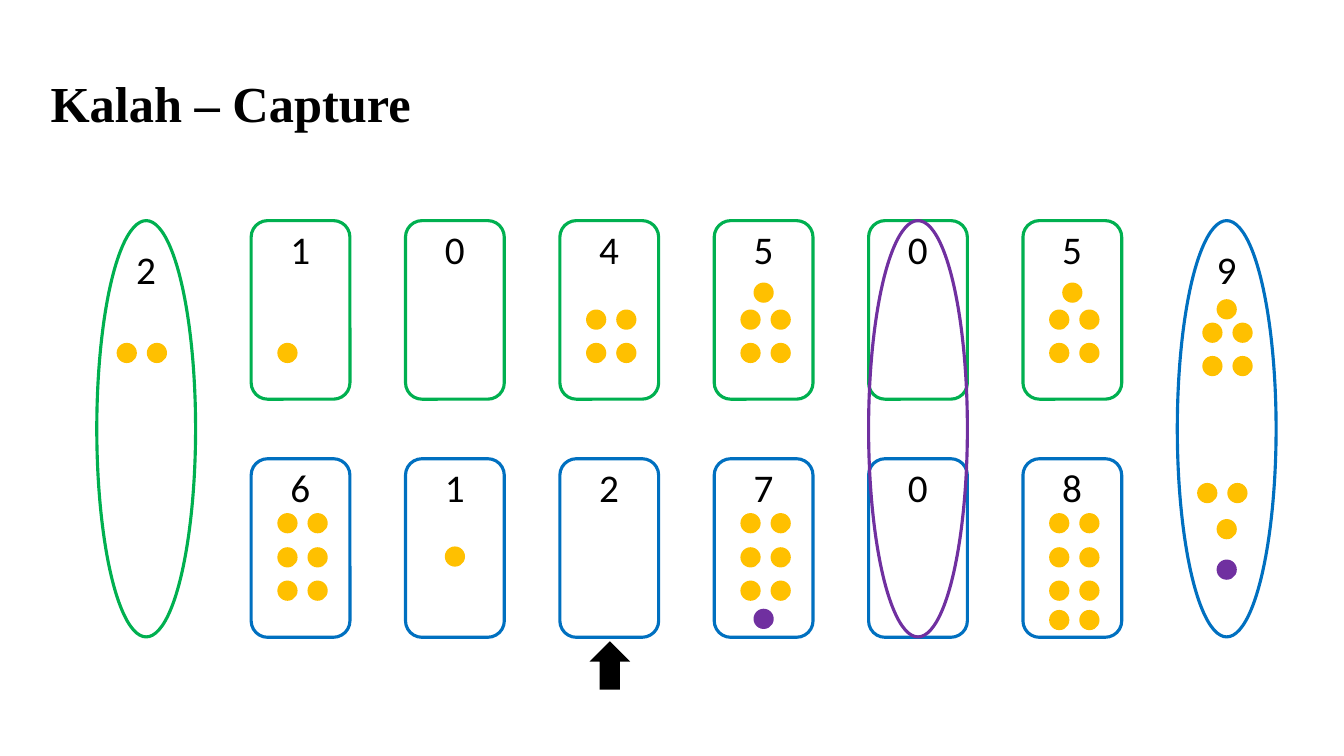
from pptx import Presentation
from pptx import util as u
from pptx.dml.color import RGBColor
from pptx.enum import shapes, text

Cm, Pt = u.Cm, u.Pt
KIND = shapes.MSO_SHAPE
GREEN, BLUE, PURPLE, GOLD, BLACK = "00B050", "0070C0", "7030A0", "FFC000", "000000"
LEFT, PITCH, WIDTH = 2.44, 3.89, 2.49
NORTH, SOUTH = 5.56, 11.56
PIT, STORE = 4.5, 10.49
STONE, STEP, DROP = 0.51, 0.76, 0.84
SIDE, MID = 0.66, 0.99


def col(num):
    return LEFT + PITCH * num


def paint(color, hue):
    color.rgb = RGBColor.from_string(hue)


def add(parent, kind, x, y, w, h):
    shape = parent.shapes.add_shape(kind, Cm(x), Cm(y), Cm(w), Cm(h))
    shape.shadow.inherit = False
    return shape


def ring(slide, kind, x, y, h, hue):
    shape = add(slide, kind, x, y, WIDTH, h)
    shape.fill.background()
    paint(shape.line.color, hue)
    shape.line.width = Pt(2.25)


def solid(parent, kind, x, y, w, h, hue):
    shape = add(parent, kind, x, y, w, h)
    shape.fill.solid()
    paint(shape.fill.fore_color, hue)
    shape.line.fill.background()
    return shape


def stone(parent, x, y, hue=GOLD):
    solid(parent, KIND.OVAL, x, y, STONE, STONE, hue)


def pair(parent, x, y):
    for i in range(2):
        stone(parent, x + i * STEP, y)


def quad(slide, x, y):
    group = slide.shapes.add_group_shape()
    for i in range(2):
        pair(group, x, y + i * DROP)


def style(para, name, size, bold=False):
    para.font.name = name
    para.font.size = Pt(size)
    para.font.bold = bold
    paint(para.font.color, BLACK)


def count(slide, num, y, value):
    box = slide.shapes.add_textbox(Cm(col(num) + 0.74), Cm(y), Cm(1.02), Cm(1.45))
    frame = box.text_frame
    frame.word_wrap = False
    frame.auto_size = text.MSO_AUTO_SIZE.SHAPE_TO_FIT_TEXT
    frame.text = str(value)
    style(frame.paragraphs[0], "Calibri", 28)


def title(slide, words):
    shape = slide.shapes.title
    shape.left, shape.top, shape.width, shape.height = Cm(1.02), Cm(1.68), Cm(31.78), Cm(1.8)
    frame = shape.text_frame
    frame.text = words
    frame.vertical_anchor = text.MSO_ANCHOR.MIDDLE
    para = frame.paragraphs[0]
    para.alignment = text.PP_ALIGN.LEFT
    style(para, "Times New Roman", 36, True)


def row(slide, y, hue, values):
    for num, value in enumerate(values, 1):
        ring(slide, KIND.ROUNDED_RECTANGLE, col(num), y, PIT, hue)
        count(slide, num, y, value)


def store(slide, num, hue, value):
    ring(slide, KIND.OVAL, col(num), NORTH, STORE, hue)
    count(slide, num, 6.05, value)


def fill(slide):
    stone(slide, col(1) + SIDE, 8.64)
    for num in (3, 4, 6):
        quad(slide, col(num) + SIDE, 7.8)
    for num in (4, 6):
        stone(slide, col(num) + MID, 7.12)
    for num in (1, 4, 6):
        pair(slide, col(num) + SIDE, 12.93)
        quad(slide, col(num) + SIDE, 13.79)
    stone(slide, col(2) + MID, 13.77)
    stone(slide, col(4) + MID, 15.34, PURPLE)
    pair(slide, col(6) + SIDE, 15.37)
    pair(slide, col(0) + 0.5, 8.64)
    stone(slide, col(7) + MID, 7.54)
    quad(slide, col(7) + 0.63, 8.13)
    pair(slide, col(7) + 0.5, 12.17)
    stone(slide, col(7) + MID, 13.08)
    stone(slide, col(7) + MID, 14.1, PURPLE)


def main():
    deck = Presentation()
    deck.slide_width, deck.slide_height = Cm(33.87), Cm(19.05)
    slide = deck.slides.add_slide(deck.slide_layouts[5])
    title(slide, "Kalah – Capture")
    store(slide, 0, GREEN, 2)
    store(slide, 7, BLUE, 9)
    row(slide, NORTH, GREEN, (1, 0, 4, 5, 0, 5))
    row(slide, SOUTH, BLUE, (6, 1, 2, 7, 0, 8))
    fill(slide)
    arrow = solid(slide, KIND.RIGHT_ARROW, 14.76, 16.26, 1.22, 1.02, BLACK)
    arrow.rotation = 270
    ring(slide, KIND.OVAL, col(5), NORTH, STORE, PURPLE)
    deck.save("out.pptx")


if __name__ == "__main__":
    main()
